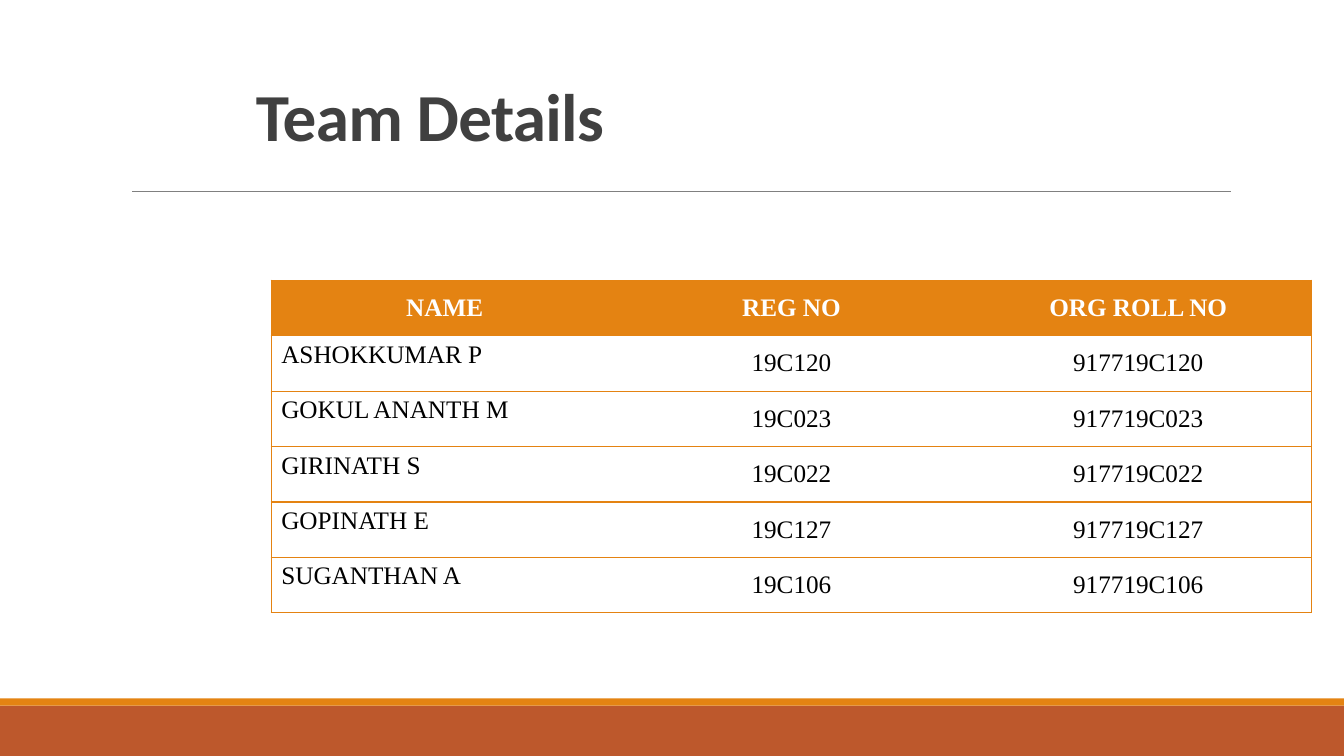
from lxml.etree import SubElement
from pptx import Presentation
from pptx.dml.color import RGBColor
from pptx.enum.shapes import MSO_CONNECTOR, MSO_SHAPE
from pptx.enum.text import MSO_ANCHOR as Anchor, PP_ALIGN as Align
from pptx.oxml.ns import qn
from pptx.util import Inches, Pt

ORANGE = RGBColor(0xE4, 0x83, 0x12)
RUST = RGBColor(0xBD, 0x58, 0x2C)
GREY = RGBColor(0x80, 0x80, 0x80)
CHARCOAL = RGBColor(0x40, 0x40, 0x40)
WHITE = RGBColor(0xFF, 0xFF, 0xFF)
BLACK = RGBColor(0, 0, 0)
PLAIN_STYLE = "{2D5ABB26-0587-4C30-8999-92F81FD0307C}"
WIDTH, HEIGHT = 13.33, 7.5
COLUMN, ROW = 3.44, 0.55

HEADINGS = ("NAME", "REG NO", "ORG ROLL NO")
MEMBERS = (
    ("ASHOKKUMAR P", "19C120"),
    ("GOKUL ANANTH M", "19C023"),
    ("GIRINATH S", "19C022"),
    ("GOPINATH E", "19C127"),
    ("SUGANTHAN A", "19C106"),
)
team = [HEADINGS] + [(name, reg, "9177" + reg) for name, reg in MEMBERS]


def add_border(cell, side):
    line = SubElement(cell._tc.get_or_add_tcPr(), qn("a:" + side), w=str(Pt(1)))
    SubElement(SubElement(line, qn("a:solidFill")), qn("a:srgbClr"), val=str(ORANGE))


deck = Presentation()
deck.slide_width, deck.slide_height = Inches(WIDTH), Inches(HEIGHT)
slide = deck.slides.add_slide(deck.slide_layouts[6])
shapes = slide.shapes

for top, depth, color in ((7, 0.5, RUST), (6.93, 0.07, ORANGE)):
    band = shapes.add_shape(MSO_SHAPE.RECTANGLE, 0, Inches(top), Inches(WIDTH), Inches(depth))
    band.shadow.inherit = False
    band.fill.solid()
    band.fill.fore_color.rgb = color
    band.line.fill.background()

divider = shapes.add_connector(
    MSO_CONNECTOR.STRAIGHT, Inches(1.31), Inches(1.9), Inches(12.21), Inches(1.9))
divider.line.color.rgb = GREY
divider.line.width = Pt(0.5)
SubElement(divider._element.spPr, qn("a:effectLst"))

heading = shapes.add_textbox(Inches(2.44), 0, Inches(8.8), Inches(1.59)).text_frame
heading.word_wrap = True
heading.vertical_anchor = Anchor.BOTTOM
title = heading.paragraphs[0]
title.line_spacing = 0.85
title_run = title.add_run()
title_run.text = "Team Details"
title_run.font._element.set("spc", "-50")
title.font.name, title.font.size, title.font.bold = "Calibri", Pt(48), True
title.font.color.rgb = CHARCOAL

roster = shapes.add_table(
    len(team), len(HEADINGS), Inches(2.69), Inches(2.78),
    Inches(COLUMN * len(HEADINGS)), Inches(ROW * len(team))).table
roster._tbl.tblPr.find(qn("a:tableStyleId")).text = PLAIN_STYLE
roster.horz_banding = False
for column in roster.columns:
    column.width = Inches(COLUMN)
for row in roster.rows:
    row.height = Inches(ROW)

for r, entries in enumerate(team):
    for c, entry in enumerate(entries):
        cell = roster.cell(r, c)
        is_heading = r == 0
        is_member = c == 0 and not is_heading
        if c == 0:
            add_border(cell, "lnL")
        if c == len(HEADINGS) - 1:
            add_border(cell, "lnR")
        add_border(cell, "lnT")
        add_border(cell, "lnB")
        cell.fill.solid()
        cell.fill.fore_color.rgb = ORANGE if is_heading else WHITE
        cell.vertical_anchor = Anchor.TOP if is_member else Anchor.MIDDLE
        cell.text = entry
        label = cell.text_frame.paragraphs[0]
        label.alignment = Align.LEFT if is_member else Align.CENTER
        label.font.name, label.font.size = "Times New Roman", Pt(18)
        label.font.bold = is_heading
        label.font.color.rgb = WHITE if is_heading else BLACK

deck.save("out.pptx")
